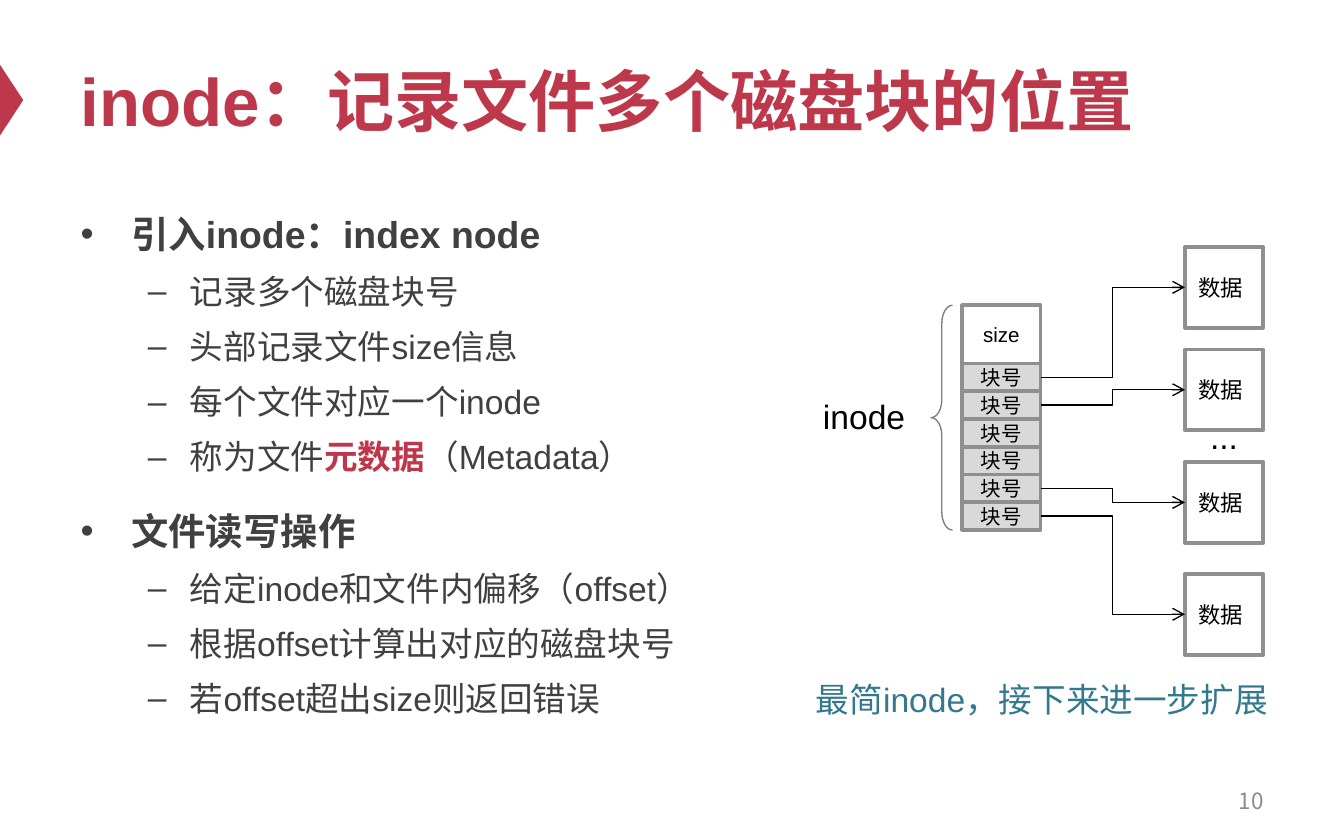
from lxml import etree
from pptx import Presentation
from pptx import util as u
from pptx.dml.color import RGBColor
from pptx.enum import shapes, text
from pptx.oxml import ns

Pt = u.Pt
RED, GRAY, BLACK, WHITE = "BE384B", "404040", "000000", "FFFFFF"
BORDER = "8F8F8F"
LEFT, CENTER, RIGHT = text.PP_ALIGN.LEFT, text.PP_ALIGN.CENTER, text.PP_ALIGN.RIGHT
TOP, MIDDLE = text.MSO_ANCHOR.TOP, text.MSO_ANCHOR.MIDDLE


def paint(color_format, color):
    """Set a fill, line fill or font colour from a hex string."""
    if hasattr(color_format, "solid"):
        color_format.solid()
        color_format = color_format.fore_color
    color_format.rgb = RGBColor.from_string(color)


def add_span(para, words, size, color, bold=False, font="Arial"):
    span = para.add_run()
    span.text = words
    span.font.size = Pt(size)
    span.font.bold = bold
    span.font.name = font
    paint(span.font.color, color)


deck = Presentation()
deck.slide_width, deck.slide_height = Pt(720), Pt(450)
page = deck.slides.add_slide(deck.slide_layouts[6])

# Marker at the left edge, pointing right
marker = page.shapes.add_shape(
    shapes.MSO_SHAPE.ISOSCELES_TRIANGLE, Pt(-12.8), Pt(47.4), Pt(38), Pt(12.5))
marker.rotation = 90
marker.shadow.inherit = False
paint(marker.fill, RED)
marker.line.fill.background()

# Single-line texts
labels = [
    (36.2, 18, 648, 70.5, "inode：记录文件多个磁盘块的位置", 36, RED, True, "Arial", LEFT, MIDDLE),
    (516, 417, 168, 24, "10", 12, "8C8C8C", False, "Noto Sans CJK SC", RIGHT, MIDDLE),
    (625.5, 219.5, 60.5, 29, "...", 18, BLACK, False, "Arial", CENTER, TOP),
    (433.8, 208.3, 72, 29, "inode", 18, BLACK, False, "Arial", LEFT, TOP),
    (430, 360, 279, 29, "最简inode，接下来进一步扩展", 18, "32788E", False, "Arial", LEFT, TOP),
]
for left, top, width, height, words, size, color, bold, font, align, anchor in labels:
    box = page.shapes.add_textbox(Pt(left), Pt(top), Pt(width), Pt(height))
    box.text_frame.word_wrap = True
    box.text_frame.vertical_anchor = anchor
    para = box.text_frame.paragraphs[0]
    para.alignment = align
    add_span(para, words, size, color, bold, font)

# Bulleted outline: level and runs, where a starred run is emphasised
outline = [
    (0, ["引入inode：index node"]),
    (1, ["记录多个磁盘块号"]),
    (1, ["头部记录文件size信息"]),
    (1, ["每个文件对应一个inode"]),
    (1, ["称为文件", "*元数据", "（Metadata）"]),
    (0, ["文件读写操作"]),
    (1, ["给定inode和文件内偏移（offset）"]),
    (1, ["根据offset计算出对应的磁盘块号"]),
    (1, ["若offset超出size则返回错误"]),
]
# Per level: size, bold, space before, left margin, hanging indent, bullet
levels = [(20, True, 12, 27, -27, "•"), (18, False, 3.6, 58.5, -22.5, "–")]
body = page.shapes.add_textbox(Pt(36.2), Pt(105), Pt(648), Pt(297)).text_frame
body.word_wrap = True
for index, (level, spans) in enumerate(outline):
    size, bold, before, margin, indent, mark = levels[level]
    para = body.add_paragraph() if index else body.paragraphs[0]
    para.level = level
    para.line_spacing = 1.2
    para.space_before = Pt(before)
    for words in spans:
        strong = words.startswith("*")
        add_span(para, words.lstrip("*"), size, RED if strong else GRAY, bold or strong)
    properties = para._p.get_or_add_pPr()
    properties.set("marL", str(Pt(margin)))
    properties.set("indent", str(Pt(indent)))
    etree.SubElement(properties, ns.qn("a:buFont")).set("typeface", "Arial")
    etree.SubElement(properties, ns.qn("a:buChar")).set("char", mark)

# inode table on the left, data blocks on the right
INODE_LEFT, DATA_LEFT, WIDTH = 515.5, 634.8, 42
FIRST_ROW, ROW, DATA_HEIGHT = 194.8, 14.85, 43.3
row_tops = [FIRST_ROW + ROW * i for i in range(6)]
data_tops = [132.3, 187.2, 247.5, 307.5]
blocks = [(INODE_LEFT, 163.5, 31.3, WHITE, "size", 11, CENTER)]
blocks += [(INODE_LEFT, top, ROW, "D9D9D9", "块号", 11, CENTER) for top in row_tops]
blocks += [(DATA_LEFT, top, DATA_HEIGHT, WHITE, "数据", 12, LEFT) for top in data_tops]
for left, top, height, fill, words, size, align in blocks:
    block = page.shapes.add_shape(
        shapes.MSO_SHAPE.RECTANGLE, Pt(left), Pt(top), Pt(WIDTH), Pt(height))
    block.shadow.inherit = False
    paint(block.fill, fill)
    paint(block.line.fill, BORDER)
    block.line.width = Pt(2)
    frame = block.text_frame
    frame.margin_top = frame.margin_bottom = 0
    frame.vertical_anchor = MIDDLE
    frame.paragraphs[0].alignment = align
    add_span(frame.paragraphs[0], words, size, BLACK)

brace = page.shapes.add_shape(
    shapes.MSO_SHAPE.LEFT_BRACE, Pt(498.8), Pt(163.5), Pt(11.5), Pt(120.5))
brace.adjustments[0] = 0.84
brace.shadow.inherit = False
brace.fill.background()
paint(brace.line.fill, "808080")
brace.line.width = Pt(0.75)

# The first two and last two rows point to the data blocks
for row_top, data_top in zip(row_tops[:2] + row_tops[-2:], data_tops):
    arrow = page.shapes.add_connector(
        shapes.MSO_CONNECTOR.ELBOW,
        Pt(INODE_LEFT + WIDTH), Pt(row_top + ROW / 2),
        Pt(DATA_LEFT), Pt(data_top + DATA_HEIGHT / 2))
    paint(arrow.line.fill, BLACK)
    arrow.line.width = Pt(0.75)
    etree.SubElement(arrow.line._get_or_add_ln(), ns.qn("a:tailEnd")).set("type", "arrow")
    etree.SubElement(arrow._element.spPr, ns.qn("a:effectLst"))

deck.save("out.pptx")
